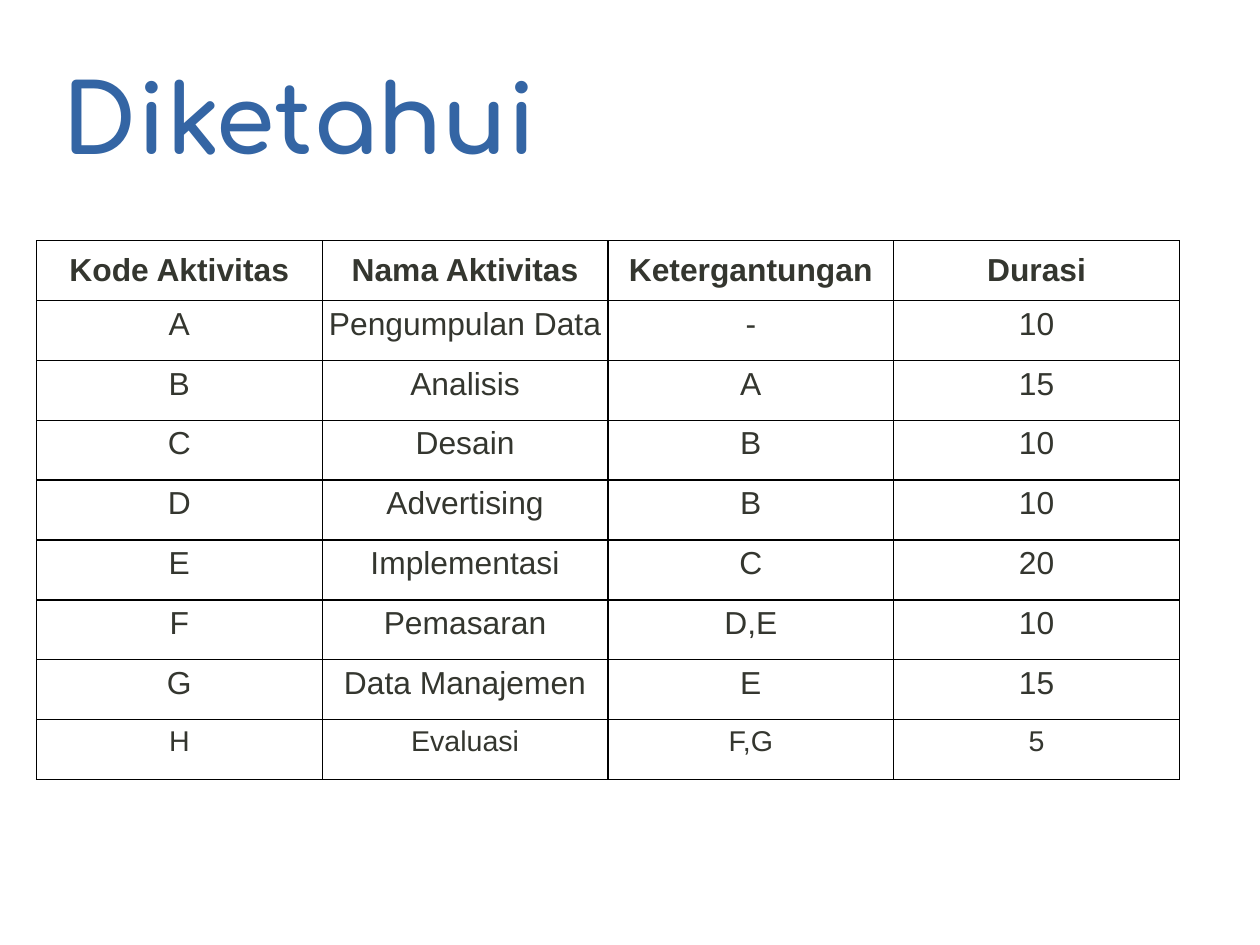
from dataclasses import astuple, dataclass

from lxml import etree
from pptx import Presentation
from pptx.dml.color import RGBColor
from pptx.enum.text import MSO_ANCHOR, PP_ALIGN
from pptx.oxml.ns import qn
from pptx.util import Cm, Pt

BLUE, INK, WHITE, BLACK = "3465A4", "34362F", "FFFFFF", "000000"
COLUMN_WIDTH, ROW_HEIGHT = Cm(6.35), Cm(1.33)
BORDER_WIDTH = Pt(0.96)


@dataclass
class Activity:
    code: str
    name: str
    depends_on: str
    duration: str
    size: int = 20
    header: bool = False


ACTIVITIES = [
    Activity("Kode Aktivitas", "Nama Aktivitas", "Ketergantungan", "Durasi", header=True),
    Activity("A", "Pengumpulan Data", "-", "10"),
    Activity("B", "Analisis", "A", "15"),
    Activity("C", "Desain", "B", "10"),
    Activity("D", "Advertising", "B", "10"),
    Activity("E", "Implementasi", "C", "20"),
    Activity("F", "Pemasaran", "D,E", "10"),
    Activity("G", "Data Manajemen", "E", "15"),
    Activity("H", "Evaluasi", "F,G", "5", size=18),
]


def color(value: str) -> RGBColor:
    return RGBColor.from_string(value)


def write(paragraph, text: str, font: str, size: int, ink: str, bold: bool) -> None:
    run = paragraph.add_run()
    run.text = text
    run.font.name, run.font.size, run.font.bold = font, Pt(size), bold
    run.font.color.rgb = color(ink)


def set_margins(target, horizontal: int, vertical: int) -> None:
    target.margin_left = target.margin_right = horizontal
    target.margin_top = target.margin_bottom = vertical


def add_borders(cell) -> None:
    properties = cell._tc.get_or_add_tcPr()
    for side in ("a:lnL", "a:lnR", "a:lnT", "a:lnB"):
        line = etree.SubElement(properties, qn(side), w=str(int(BORDER_WIDTH)))
        fill = etree.SubElement(line, qn("a:solidFill"))
        etree.SubElement(fill, qn("a:srgbClr"), val=BLACK)


def fill_row(cells, activity: Activity) -> None:
    *texts, size, header = astuple(activity)
    for cell, text in zip(cells, texts):
        add_borders(cell)
        cell.fill.solid()
        cell.fill.fore_color.rgb = color(WHITE)
        set_margins(cell, Cm(0.1), Cm(0.13))
        cell.vertical_anchor = MSO_ANCHOR.MIDDLE if header else MSO_ANCHOR.TOP
        paragraph = cell.text_frame.paragraphs[0]
        paragraph.alignment = PP_ALIGN.CENTER
        write(paragraph, text, "Arial", size, INK, header)


presentation = Presentation()
presentation.slide_width, presentation.slide_height = Cm(28), Cm(21)
slide = presentation.slides.add_slide(presentation.slide_layouts[6])

# Title
title = slide.shapes.add_textbox(Cm(1.4), Cm(0.84), Cm(25.2), Cm(3.5)).text_frame
title.word_wrap = True
title.vertical_anchor = MSO_ANCHOR.MIDDLE
set_margins(title, 0, 0)
write(title.paragraphs[0], "Diketahui", "Comfortaa", 60, BLUE, True)

# Activity table
row_count, column_count = len(ACTIVITIES), 4
table = slide.shapes.add_table(
    row_count, column_count, Cm(0.81), Cm(5.35),
    COLUMN_WIDTH * column_count, ROW_HEIGHT * row_count,
).table
table.first_row = table.horz_banding = False
for column in table.columns:
    column.width = COLUMN_WIDTH
for row, activity in zip(table.rows, ACTIVITIES):
    row.height = ROW_HEIGHT
    fill_row(row.cells, activity)

presentation.save("out.pptx")
